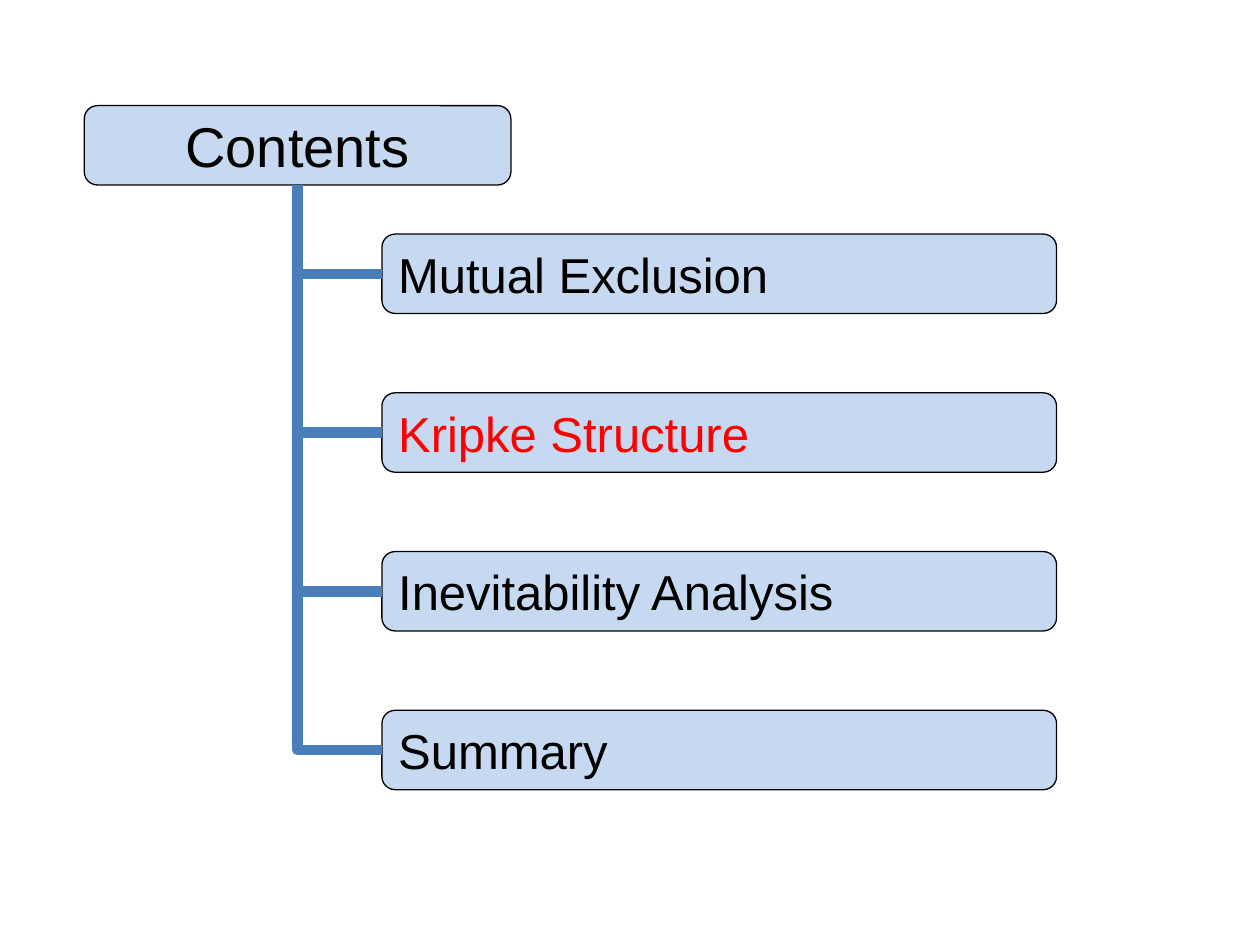
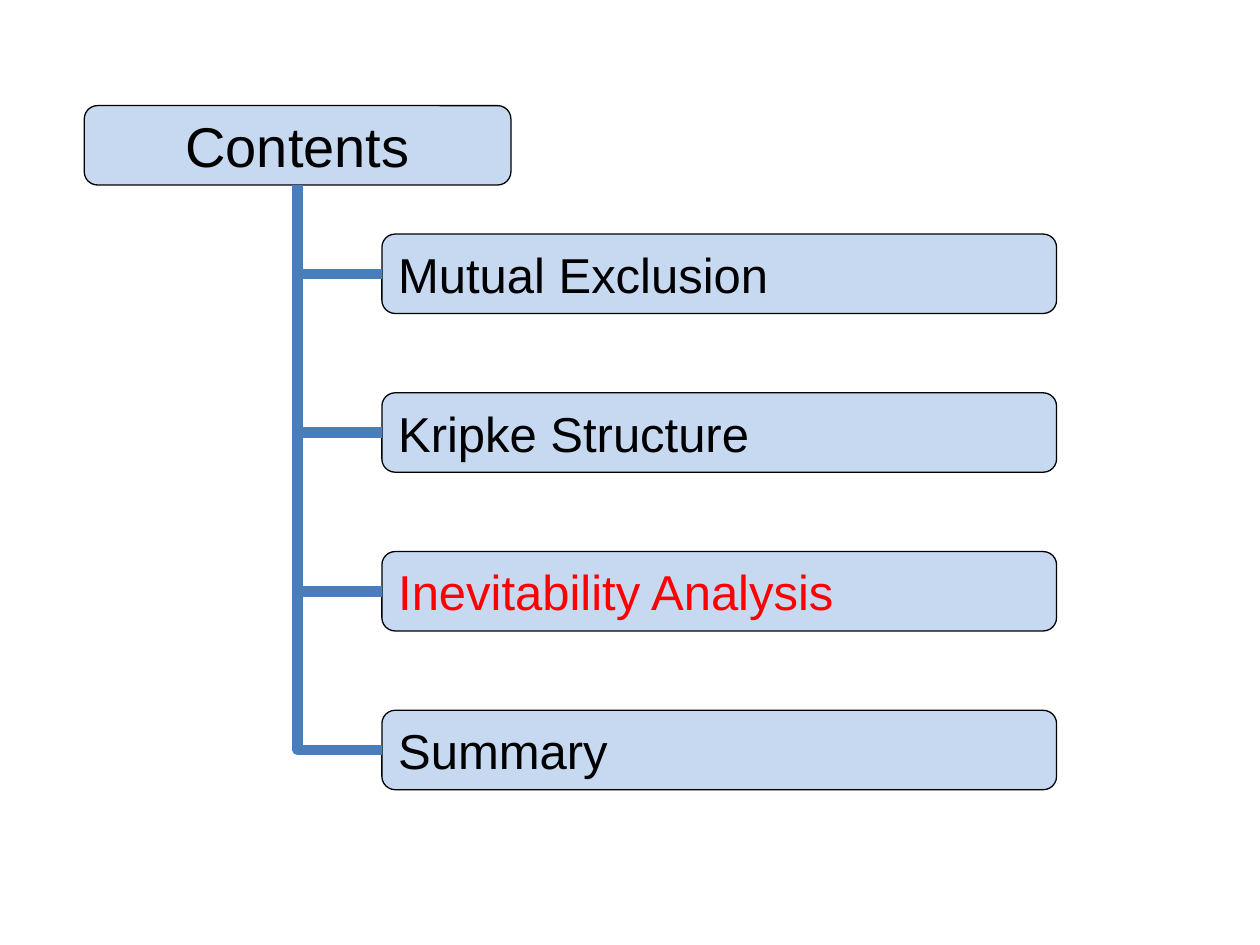
from lxml import etree
from pptx import Presentation
from pptx.dml.color import RGBColor
from pptx.enum import shapes, text
from pptx.oxml.ns import qn
from pptx.util import Cm, Pt

PALE_BLUE = RGBColor(0xC6, 0xD9, 0xF1)
LINE_BLUE = RGBColor(0x4A, 0x7E, 0xBB)
BLACK = RGBColor(0, 0, 0)
RED = RGBColor(0xFF, 0, 0)
FONT = "Arial"

TOPICS = ["Mutual Exclusion", "Kripke Structure", "Inevitability Analysis", "Summary"]
CURRENT_TOPICS = ["Kripke Structure", "Inevitability Analysis"]

BOX_HEIGHT = Cm(1.6)
TITLE_LEFT, TITLE_TOP, TITLE_WIDTH = Cm(1.7), Cm(2.13), Cm(8.6)
TOPIC_LEFT, TOPIC_TOP, TOPIC_WIDTH = Cm(7.7), Cm(4.72), Cm(13.6)
TOPIC_PITCH = Cm(3.2)


def put_text(sp, content, size=28, color=BLACK, align=text.PP_ALIGN.LEFT):
    tf = sp.text_frame
    tf.word_wrap = True
    tf.vertical_anchor = text.MSO_ANCHOR.MIDDLE
    p = tf.paragraphs[0]
    p.alignment = align
    r = p.add_run()
    r.text = content
    r.font.name = FONT
    r.font.size = Pt(size)
    r.font.color.rgb = color


class Deck:
    def __init__(self):
        self.prs = Presentation()
        self.prs.slide_width, self.prs.slide_height = Cm(25.4), Cm(19.05)
        self.s = None

    def new_slide(self):
        self.s = self.prs.slides.add_slide(self.prs.slide_layouts[6])

    def box(self, content, left, top, width, **style):
        sp = self.s.shapes.add_shape(
            shapes.MSO_SHAPE.FLOWCHART_ALTERNATE_PROCESS, left, top, width, BOX_HEIGHT)
        sp.shadow.inherit = False
        sp.fill.solid()
        sp.fill.fore_color.rgb = PALE_BLUE
        sp.line.color.rgb = BLACK
        sp.line.width = Pt(0.75)
        put_text(sp, content, **style)
        return sp

    def connector(self, kind, x, y, target):
        cxn = self.s.shapes.add_connector(kind, x, y, x, y)
        cxn.end_connect(target, 1)
        cxn.line.color.rgb = LINE_BLUE
        cxn.line.width = Pt(6)
        etree.SubElement(cxn.element.spPr, qn("a:effectLst"))
        return cxn

    def branch(self, x, target):
        y = target.top + target.height // 2
        self.connector(shapes.MSO_CONNECTOR.STRAIGHT, x, y, target)

    def trunk(self, source, target):
        x, y = source.left + source.width // 2, source.top + source.height
        cxn = self.connector(shapes.MSO_CONNECTOR.ELBOW, x, y, target)
        cxn.begin_connect(source, 2)
        across, down = cxn.width, cxn.height
        cxn.left, cxn.top = x + (across - down) // 2, y + (down - across) // 2
        cxn.width, cxn.height = down, across
        sp_pr = cxn.element.spPr
        xfrm = sp_pr.find(qn("a:xfrm"))
        xfrm.set("rot", "16200000")
        xfrm.set("flipH", "1")
        sp_pr.find(qn("a:prstGeom")).set("prst", "bentConnector2")

    def contents(self, current):
        self.new_slide()
        title = self.box("Contents", TITLE_LEFT, TITLE_TOP, TITLE_WIDTH,
                         size=32, align=text.PP_ALIGN.CENTER)
        boxes = [self.box(topic, TOPIC_LEFT, TOPIC_TOP + i * TOPIC_PITCH, TOPIC_WIDTH,
                          color=RED if topic == current else BLACK)
                 for i, topic in enumerate(TOPICS)]
        self.trunk(title, boxes[-1])
        for sp in boxes[:-1]:
            self.branch(title.left + title.width // 2, sp)


def main():
    deck = Deck()
    for topic in CURRENT_TOPICS:
        deck.contents(topic)
    deck.prs.save("out.pptx")


if __name__ == "__main__":
    main()
